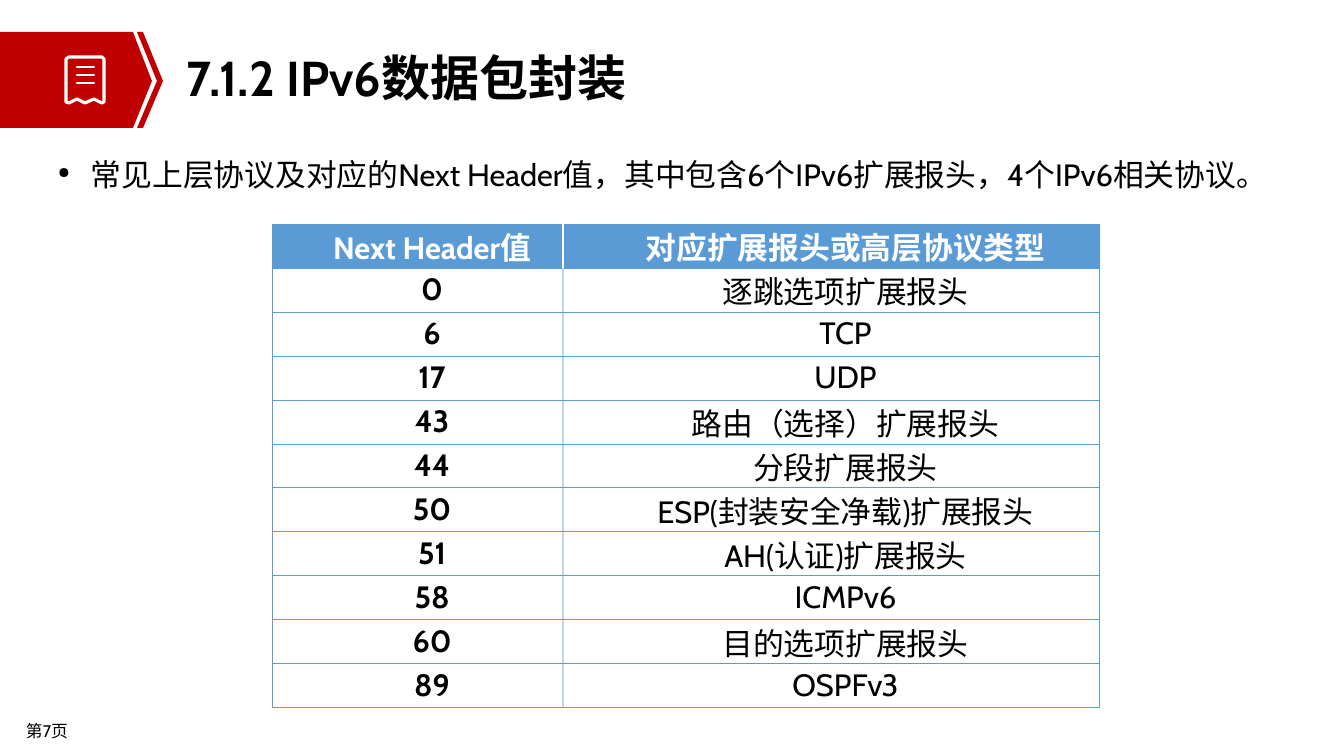
from lxml import etree
from pptx import Presentation
from pptx import util as u
from pptx.dml.color import RGBColor
from pptx.enum import text
from pptx.oxml.ns import qn

PX = 12192000 / 1344
RED, BLUE, PALE_BLUE, WHITE, BLACK = "C00000", "5B9BD5", "BDD7EE", "FFFFFF", "000000"
PROTOCOLS = [
    ("Next Header值", "对应扩展报头或高层协议类型"),
    ("0", "逐跳选项扩展报头"),
    ("6", "TCP"),
    ("17", "UDP"),
    ("43", "路由（选择）扩展报头"),
    ("44", "分段扩展报头"),
    ("50", "ESP(封装安全净载)扩展报头"),
    ("51", "AH(认证)扩展报头"),
    ("58", "ICMPv6"),
    ("60", "目的选项扩展报头"),
    ("89", "OSPFv3"),
]


def px(length):
    return u.Emu(round(length * PX))


def rgb(value):
    return RGBColor.from_string(value)


class Page:
    font = "Cabin"

    def __init__(self, slide):
        self.slide = slide

    def style(self, paragraph, size, color=BLACK, bold=False):
        font = paragraph.font
        font.name, font.size, font.bold = self.font, u.Pt(size), bold
        font.color.rgb = rgb(color)

    def text(self, left, top, width, height, words, size, bold=False,
             inset=(9, 4), wrap=True, anchor=text.MSO_ANCHOR.TOP):
        box = self.slide.shapes.add_textbox(*map(px, (left, top, width, height)))
        frame = box.text_frame
        frame.word_wrap, frame.vertical_anchor = wrap, anchor
        frame.margin_left = frame.margin_right = px(inset[0])
        frame.margin_top = frame.margin_bottom = px(inset[1])
        paragraph = frame.paragraphs[0]
        paragraph.text = words
        self.style(paragraph, size, bold=bold)
        return paragraph

    def bullet(self, left, top, width, height, words, size, indent):
        paragraph = self.text(left, top, width, height, "", size)
        props = paragraph._p.get_or_add_pPr()
        props.set("marL", str(px(indent)))
        props.set("indent", str(-px(indent)))
        mark_size = etree.Element(qn("a:buSzPct"), val="50000")
        mark = etree.Element(qn("a:buChar"), char="●")
        props.insert(0, mark_size)
        props.insert(1, mark)
        paragraph.alignment = text.PP_ALIGN.JUSTIFY
        paragraph.line_spacing = 1.4
        run = paragraph.add_run()
        run.text = words
        self.style(run, size)
        etree.SubElement(run._r.get_or_add_rPr(), qn("a:ea"), typeface=self.font)

    def outline(self, points, fill=None, line=None, weight=2.25):
        builder = self.slide.shapes.build_freeform(*points[0], scale=PX)
        builder.add_line_segments(points[1:], close=True)
        shape = builder.convert_to_shape()
        shape.shadow.inherit = False
        if fill:
            shape.fill.solid()
            shape.fill.fore_color.rgb = rgb(fill)
        else:
            shape.fill.background()
        if line:
            shape.line.color.rgb = rgb(line)
            shape.line.width = u.Pt(weight)
            etree.SubElement(shape.line._get_or_add_ln(), qn("a:round"))
        else:
            shape.line.fill.background()

    def stroke(self, left, right, y, color, weight):
        line = self.slide.shapes.add_connector(1, px(left), px(y), px(right), px(y))
        line.line.color.rgb = rgb(color)
        line.line.width = u.Pt(weight)
        line.line._get_or_add_ln().set("cap", "rnd")
        etree.SubElement(line._element.spPr, qn("a:effectLst"))

    def borders(self, cell, edges):
        """Put (color, points) edges, ordered left, right, top, bottom, before the fill."""
        props = cell._tc.get_or_add_tcPr()
        for place, (side, (color, weight)) in enumerate(zip("LRTB", edges)):
            line = etree.Element(qn(f"a:ln{side}"), w=str(u.Pt(weight)))
            fill = etree.SubElement(line, qn("a:solidFill"))
            etree.SubElement(fill, qn("a:srgbClr"), val=color)
            props.insert(place, line)

    def cell(self, cell, words, bold, fill, color, edges):
        cell.margin_left = cell.margin_right = px(7)
        cell.margin_top = cell.margin_bottom = 0
        cell.vertical_anchor = text.MSO_ANCHOR.MIDDLE
        if fill:
            cell.fill.solid()
            cell.fill.fore_color.rgb = rgb(fill)
        else:
            cell.fill.background()
        self.borders(cell, edges)
        paragraph = cell.text_frame.paragraphs[0]
        paragraph.text = words
        paragraph.alignment = text.PP_ALIGN.CENTER
        paragraph._p.get_or_add_pPr().set("indent", str(px(29)))
        self.style(paragraph, 22, color, bold)

    def table(self, left, top, widths, row_height, rows):
        size = px(sum(widths)), px(row_height * len(rows))
        grid = self.slide.shapes.add_table(
            len(rows), len(widths), px(left), px(top), *size).table
        for column, width in zip(grid.columns, widths):
            column.width = px(width)
        outer = (BLUE, 0.5)
        for r, row in enumerate(rows):
            grid.rows[r].height = px(row_height)
            header = r == 0
            divider = (WHITE if header else PALE_BLUE, 1)
            for c, words in enumerate(row):
                sides = (divider, outer) if c else (outer, divider)
                self.cell(grid.cell(r, c), words, header or c == 0,
                          BLUE if header else None, WHITE if header else BLACK,
                          (*sides, outer, outer))


def main():
    deck = Presentation()
    deck.slide_width, deck.slide_height = px(1344), px(756)
    page = Page(deck.slides.add_slide(deck.slide_layouts[6]))

    page.text(17, 717, 73, 29, "第7页", 12, wrap=False)

    top, middle, bottom = 32, 81, 128
    page.outline([(0, top), (133, top), (152, middle), (133, bottom), (0, bottom)], RED)
    page.outline([(137, top), (143, top), (163, middle), (143, bottom),
                  (137, bottom), (157, middle)], RED)

    receipt = [(69, 57), (102, 57), (104, 59), (104, 102), (102, 103), (94, 99),
               (85, 103), (77, 99), (69, 103), (66, 102), (66, 59)]
    page.outline(receipt, line=WHITE)
    for row in range(3):
        page.stroke(77, 94, 67 + 8 * row, WHITE, 1.5)

    title = page.text(175, 45, 1084, 71, "7.1.2 IPv6数据包封装", 35, True,
                      inset=(11, 6), anchor=text.MSO_ANCHOR.MIDDLE)
    title.line_spacing = 0.9
    page.bullet(49, 137, 1247, 516,
                "常见上层协议及对应的Next Header值，其中包含6个IPv6扩展报头，4个IPv6相关协议。",
                22, 33)
    page.table(272, 224, (291, 536), 44, PROTOCOLS)
    deck.save("out.pptx")


if __name__ == "__main__":
    main()
